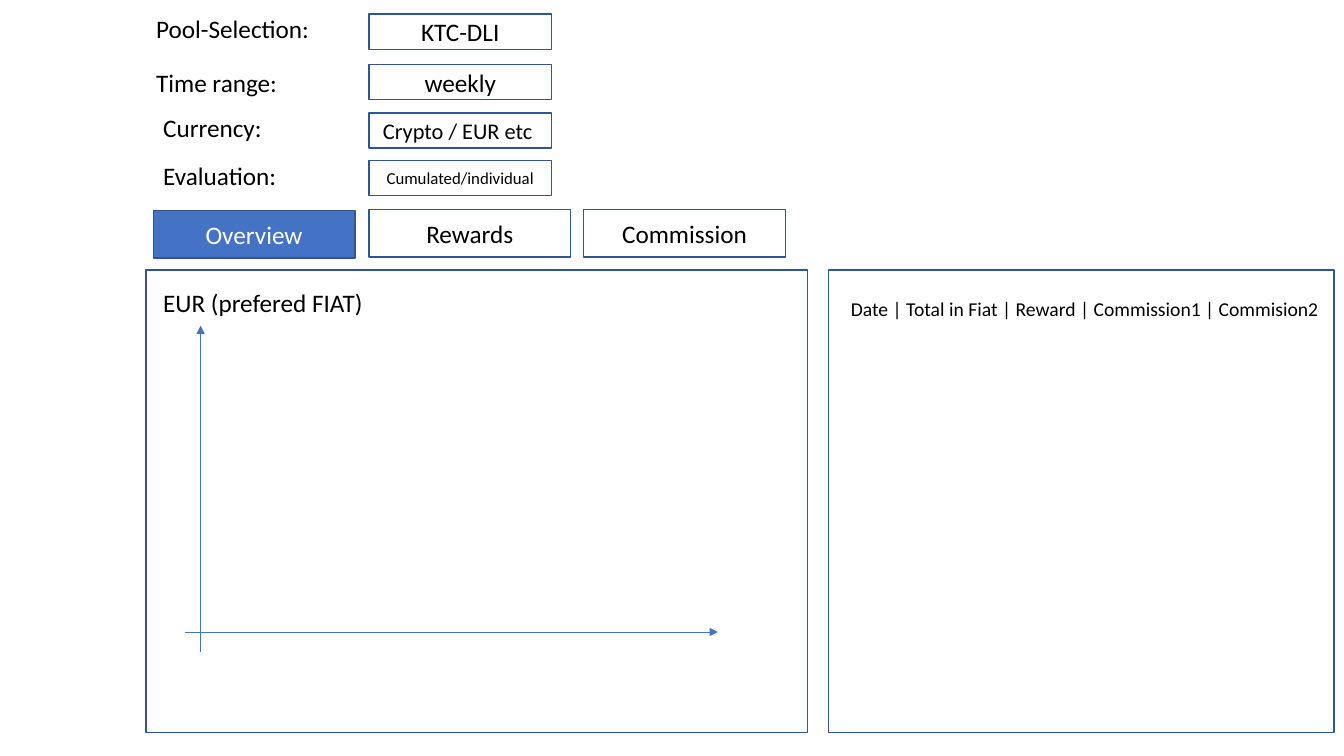
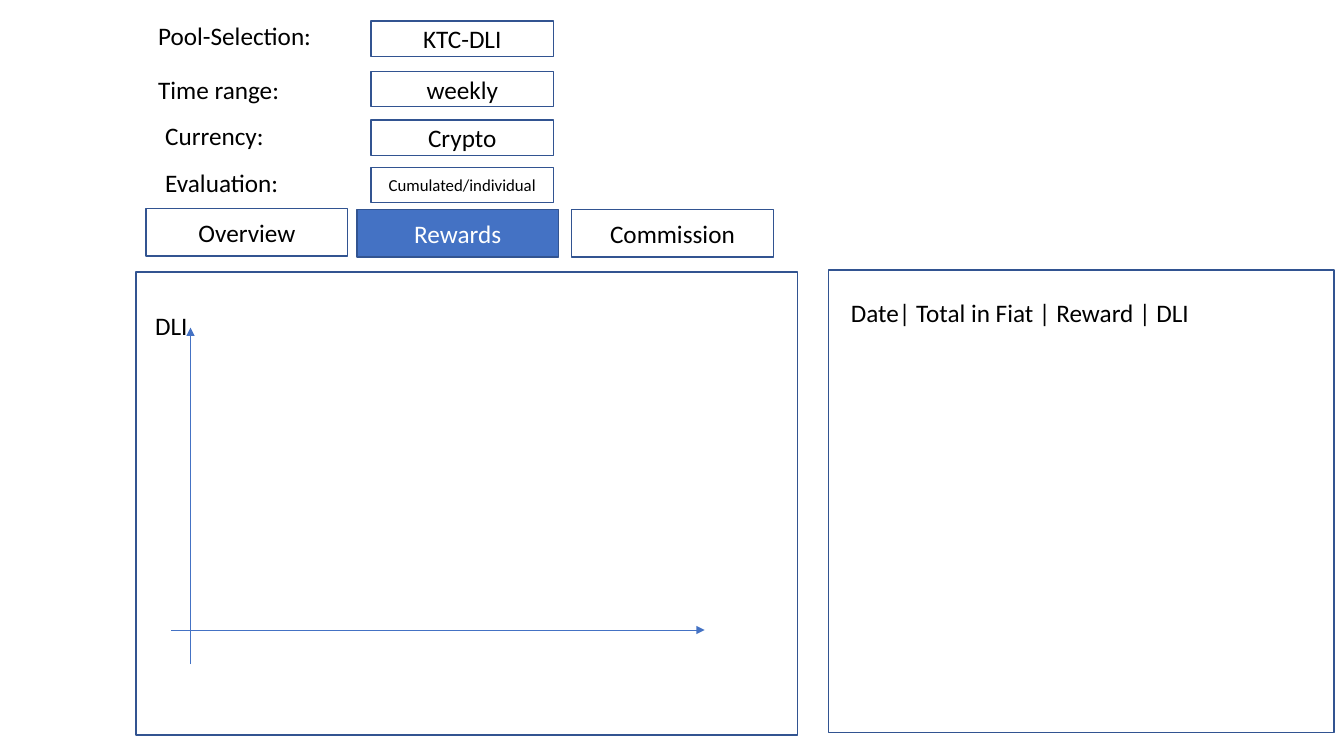
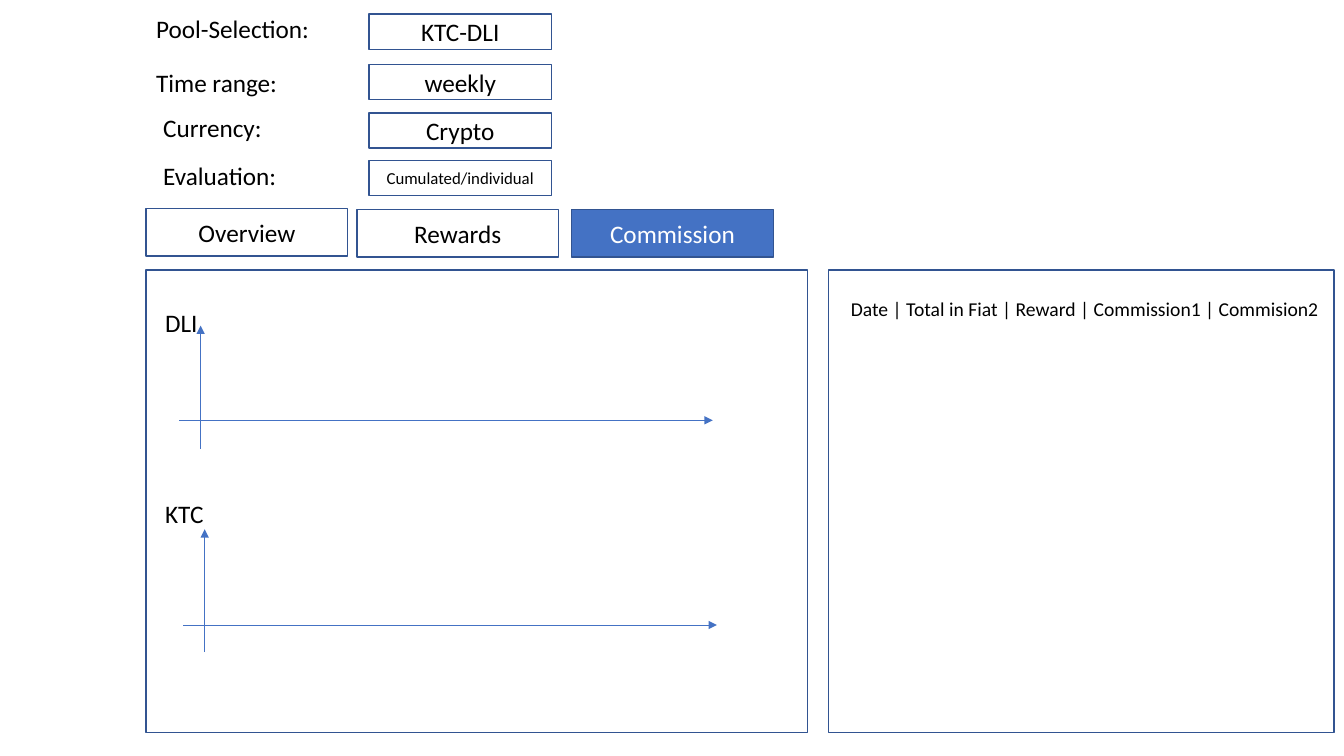
"""Build three wireframe screens of a pool dashboard."""
from dataclasses import dataclass

from pptx import Presentation
from pptx import util as u
from pptx.dml import color as c
from pptx.enum import shapes, text
from pptx.oxml import xmlchemy
from pptx.shapes import autoshape
from pptx import slide as s


@dataclass(frozen=True)
class Theme:
    """Colours, font and type sizes shared by all screens."""

    font: str = "Calibri"
    ink: c.RGBColor = c.RGBColor(0x00, 0x00, 0x00)
    paper: c.RGBColor = c.RGBColor(0xFF, 0xFF, 0xFF)
    accent: c.RGBColor = c.RGBColor(0x44, 0x72, 0xC4)
    border: c.RGBColor = c.RGBColor(0x32, 0x54, 0x91)
    body: int = 18
    compact: int = 16
    small: int = 14
    tiny: int = 12
    border_width: float = 1
    axis_width: float = 0.5


@dataclass(frozen=True)
class Area:
    """Rectangle in inches."""

    left: float
    top: float
    width: float
    height: float


@dataclass(frozen=True)
class Filter:
    """Label and value box of one filter row."""

    label: str
    indent: float
    label_top: float
    box_top: float
    value: str
    size: int


@dataclass(frozen=True)
class Chart:
    """Caption and pair of axes."""

    caption: str
    caption_area: Area
    axis_left: float
    axis_top: float
    axis_bottom: float
    base_left: float
    base_top: float


@dataclass(frozen=True)
class Screen:
    """Everything that differs between screens."""

    active_tab: str
    tab_places: tuple[tuple[float, float], ...]
    currency: str
    currency_size: int
    chart_left: float
    chart_top: float
    charts: tuple[Chart, ...]
    columns: str
    columns_size: int
    columns_height: float
    shift: tuple[float, float] = (0, 0)


THEME = Theme()
FIRST_COIN, SECOND_COIN = "KTC", "DLI"
TABS = ("Overview", "Rewards", "Commission")
TAB_SIZE = (2, 0.47)
PANEL_HEIGHT = 4.59
CHART_WIDTH = 6.56
BASE_LENGTH = 5.29
LABEL_LEFT, VALUE_LEFT = 1.45, 3.66
LABEL_SIZE, VALUE_SIZE = (2.21, 0.4), (1.81, 0.35)
TABLE_AREA = Area(8.22, 2.68, 5.01, PANEL_HEIGHT)
COMMISSION_COLUMNS = "Date | Total in Fiat | Reward | Commission1 | Commision2"
SHIFTED_TABS = ((1.45, 2.07), (3.54, 2.08), (5.67, 2.08))

SCREENS = (
    Screen(
        "Overview", ((1.52, 2.09), (3.66, 2.08), (5.79, 2.08)),
        "Crypto / EUR etc ", THEME.compact, 1.45, 2.68,
        (Chart("EUR (prefered FIAT)", Area(1.52, 2.8, 2.46, 0.4), 1.99, 3.23, 6.47, 1.83, 6.27),),
        COMMISSION_COLUMNS, THEME.small, 0.34,
    ),
    Screen(
        "Rewards", SHIFTED_TABS, "Crypto", THEME.body, 1.35, 2.7,
        (Chart(SECOND_COIN, Area(1.44, 3.03, 0.8, 0.4), 1.89, 3.25, 6.59, 1.7, 6.25),),
        f"Date| Total in Fiat | Reward | {SECOND_COIN} ", THEME.body, 0.4, (0.02, 0.07),
    ),
    Screen(
        "Commission", SHIFTED_TABS, "Crypto", THEME.body, 1.45, 2.68,
        (
            Chart(SECOND_COIN, Area(1.54, 3, 0.8, 0.4), 1.99, 3.23, 4.45, 1.78, 4.17),
            Chart(FIRST_COIN, Area(1.54, 4.89, 0.8, 0.4), 2.03, 5.25, 6.47, 1.82, 6.2),
        ),
        COMMISSION_COLUMNS, THEME.small, 0.34,
    ),
)


def place(area: Area) -> tuple[u.Length, ...]:
    """Convert an area to slide lengths."""
    return tuple(u.Inches(side) for side in (area.left, area.top, area.width, area.height))


def write(
    box: autoshape.Shape,
    wording: str,
    *,
    size: int = THEME.body,
    color: c.RGBColor = THEME.ink,
    align: text.PP_ALIGN = text.PP_ALIGN.LEFT,
    anchor: text.MSO_ANCHOR = text.MSO_ANCHOR.TOP,
) -> None:
    """Write one formatted paragraph into a box."""
    frame = box.text_frame
    frame.word_wrap = True
    frame.vertical_anchor = anchor
    para = frame.paragraphs[0]
    para.alignment = align
    span = para.add_run()
    span.text = wording
    span.font.name = THEME.font
    span.font.size = u.Pt(size)
    span.font.color.rgb = color


def add_label(page: s.Slide, area: Area, wording: str, size: int = THEME.body) -> None:
    """Add a plain text label."""
    box = page.shapes.add_textbox(*place(area))
    write(box, wording, size=size)
    box.text_frame.auto_size = text.MSO_AUTO_SIZE.SHAPE_TO_FIT_TEXT


def add_box(
    page: s.Slide, area: Area, wording: str = "", size: int = THEME.body, active: bool = False
) -> None:
    """Add a bordered box with optional centred text."""
    box = page.shapes.add_shape(shapes.MSO_SHAPE.RECTANGLE, *place(area))
    box.shadow.inherit = False
    box.fill.solid()
    box.fill.fore_color.rgb = THEME.accent if active else THEME.paper
    box.line.color.rgb = THEME.border
    box.line.width = u.Pt(THEME.border_width)
    if wording:
        write(
            box, wording, size=size, color=THEME.paper if active else THEME.ink,
            align=text.PP_ALIGN.CENTER, anchor=text.MSO_ANCHOR.MIDDLE,
        )


def add_arrow(page: s.Slide, start: tuple[float, float], end: tuple[float, float]) -> None:
    """Add a thin axis arrow."""
    points = [u.Inches(value) for value in (*start, *end)]
    arrow = page.shapes.add_connector(shapes.MSO_CONNECTOR.STRAIGHT, *points)
    arrow.line.color.rgb = THEME.accent
    arrow.line.width = u.Pt(THEME.axis_width)
    head = xmlchemy.OxmlElement("a:tailEnd")
    head.set("type", "triangle")
    arrow.line._get_or_add_ln().append(head)
    arrow._element.spPr.append(xmlchemy.OxmlElement("a:effectLst"))


def add_filters(page: s.Slide, screen: Screen) -> None:
    """Add the filter rows above the tabs."""
    across, down = screen.shift
    rows = (
        Filter("Pool-Selection:", 0, 0.08, 0.14, f"{FIRST_COIN}-{SECOND_COIN}", THEME.body),
        Filter("Time range:", 0, 0.62, 0.64, "weekly", THEME.body),
        Filter("Currency:", 0.07, 1.07, 1.12, screen.currency, screen.currency_size),
        Filter("Evaluation:", 0.07, 1.54, 1.59, "Cumulated/individual", THEME.tiny),
    )
    for row in rows:
        label_left = LABEL_LEFT + row.indent + across
        add_label(page, Area(label_left, row.label_top + down, *LABEL_SIZE), row.label)
        value_area = Area(VALUE_LEFT + across, row.box_top + down, *VALUE_SIZE)
        add_box(page, value_area, row.value, row.size)


def add_chart_sketch(page: s.Slide, chart: Chart) -> None:
    """Add a caption with its two axes."""
    add_arrow(page, (chart.axis_left, chart.axis_bottom), (chart.axis_left, chart.axis_top))
    base_end = (chart.base_left + BASE_LENGTH, chart.base_top)
    add_arrow(page, (chart.base_left, chart.base_top), base_end)
    add_label(page, chart.caption_area, chart.caption)


def add_screen(page: s.Slide, screen: Screen) -> None:
    """Draw one dashboard screen."""
    add_filters(page, screen)
    for tab, corner in zip(TABS, screen.tab_places):
        add_box(page, Area(*corner, *TAB_SIZE), tab, active=tab == screen.active_tab)
    add_box(page, Area(screen.chart_left, screen.chart_top, CHART_WIDTH, PANEL_HEIGHT))
    for chart in screen.charts:
        add_chart_sketch(page, chart)
    add_box(page, TABLE_AREA)
    heading_area = Area(8.34, 2.9, 4.89, screen.columns_height)
    add_label(page, heading_area, screen.columns, screen.columns_size)


def main() -> None:
    """Build and save the deck."""
    deck = Presentation()
    deck.slide_width, deck.slide_height = u.Inches(13.33), u.Inches(7.5)
    for screen in SCREENS:
        add_screen(deck.slides.add_slide(deck.slide_layouts[6]), screen)
    deck.save("out.pptx")


main()
